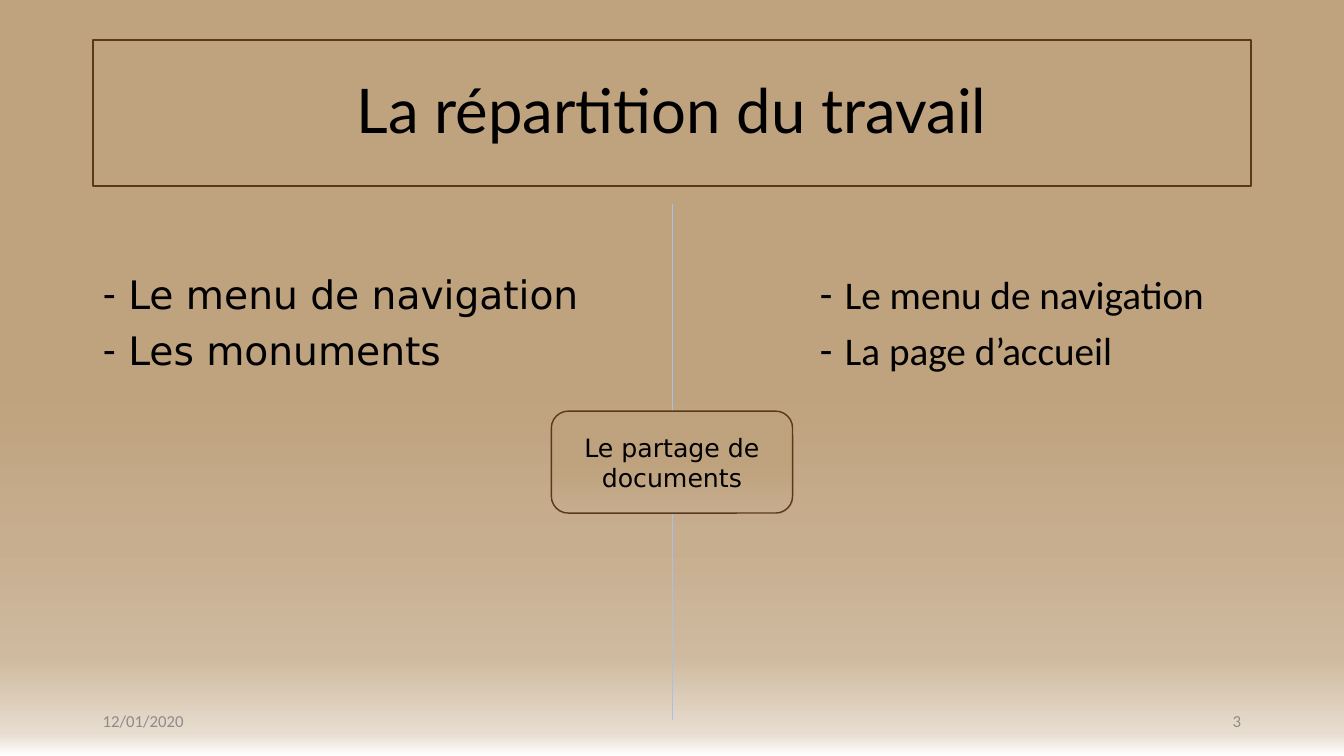
from lxml.etree import SubElement
from pptx import Presentation
from pptx.dml.color import RGBColor
from pptx.enum.shapes import MSO_CONNECTOR, MSO_SHAPE
from pptx.enum.text import MSO_ANCHOR, MSO_AUTO_SIZE, PP_ALIGN
from pptx.oxml.ns import qn
from pptx.util import Cm, Pt

BLACK = RGBColor(0x00, 0x00, 0x00)
GREY = RGBColor(0x8C, 0x8C, 0x8C)
BROWN = RGBColor(0x59, 0x38, 0x1B)
BLUE = RGBColor(0xAB, 0xC0, 0xE4)
TAN = RGBColor(0xBF, 0xA2, 0x7E)
SAND = RGBColor(0xC7, 0xAE, 0x8F)
CREAM = RGBColor(0xCF, 0xBA, 0x9F)
PEARL = RGBColor(0xE7, 0xDD, 0xCF)
WHITE = RGBColor(0xFF, 0xFF, 0xFF)

TITLE = "La répartition du travail"
LISTS = [
    (["Le menu de navigation", "Les monuments"], "DejaVu Sans", 2.34, 14.6),
    (["Le menu de navigation", "La page d’accueil"], "Calibri", 20.4, 11.12),
]
SHARED = "Le partage de documents"
FOOTER = [("12/01/2020", PP_ALIGN.LEFT), ("3", PP_ALIGN.RIGHT)]
BACK = [(51, TAN, 100), (72, SAND, 100), (87, CREAM, 82),
        (97, PEARL, 100), (100, WHITE, 100)]
PANEL = [(51, TAN, 100), (99, SAND, 100), (100, CREAM, 82)]

WIDE, HIGH = 33.87, 19.05
EDGE = 2.34
MID = WIDE / 2


def place(shape, left, top, width, height):
    shape.left, shape.top = Cm(left), Cm(top)
    shape.width, shape.height = Cm(width), Cm(height)


def grade(fill, root, stops):
    fill.gradient()
    fill.gradient_angle = 270
    group = root.find(".//" + qn("a:gsLst"))
    for old in list(group):
        group.remove(old)
    for spot, color, alpha in stops:
        stop = SubElement(group, qn("a:gs"), pos=str(spot * 1000))
        tint = SubElement(stop, qn("a:srgbClr"), val=str(color))
        if alpha < 100:
            SubElement(tint, qn("a:alpha"), val=str(alpha * 1000))


def write(shape, lines, font="Calibri", size=12, color=BLACK,
          align=PP_ALIGN.LEFT, anchor=MSO_ANCHOR.MIDDLE, space=1.0, dash=False):
    frame = shape.text_frame
    frame.word_wrap = True
    frame.auto_size = MSO_AUTO_SIZE.NONE
    frame.vertical_anchor = anchor
    for index, line in enumerate(lines):
        para = frame.add_paragraph() if index else frame.paragraphs[0]
        if dash:
            props = para._p.get_or_add_pPr()
            props.set("marL", str(Cm(0.64)))
            props.set("indent", str(-Cm(0.64)))
            SubElement(props, qn("a:buChar"), char="-")
        para.alignment = align
        para.line_spacing = space
        para.space_before = Pt(10 if index else 0)
        run = para.add_run()
        run.text = line
        run.font.name = font
        run.font.size = Pt(size)
        run.font.color.rgb = color


def main():
    deck = Presentation()
    deck.slide_width, deck.slide_height = Cm(WIDE), Cm(HIGH)
    slide = deck.slides.add_slide(deck.slide_layouts[3])
    grade(slide.background.fill, slide.element, BACK)
    shapes = slide.shapes

    title, *bodies = slide.placeholders
    place(title, EDGE, 1.01, WIDE - 2 * EDGE, 3.68)
    title.line.color.rgb = BROWN
    title.line.width = Pt(1)
    write(title, [TITLE], font="Lato", size=44, align=PP_ALIGN.CENTER, space=0.9)

    for body, (lines, font, left, width) in zip(bodies, LISTS):
        place(body, left, 6.81, width, 10.4)
        write(body, lines, font=font, size=28, anchor=MSO_ANCHOR.TOP,
              space=0.9, dash=True)

    rule = shapes.add_connector(MSO_CONNECTOR.STRAIGHT,
                                Cm(MID), Cm(5.15), Cm(MID), Cm(18.15))
    rule.line.color.rgb = BLUE
    rule.line.width = Pt(0.5)
    SubElement(rule.element.spPr, qn("a:effectLst"))

    width = 6.08
    panel = shapes.add_shape(MSO_SHAPE.ROUNDED_RECTANGLE, Cm(MID - width / 2),
                             Cm(10.36), Cm(width), Cm(2.57))
    panel.shadow.inherit = False
    grade(panel.fill, panel.element, PANEL)
    panel.line.color.rgb = BROWN
    panel.line.width = Pt(1)
    write(panel, [SHARED], font="DejaVu Sans", size=18, align=PP_ALIGN.CENTER)

    width = 7.62
    for (text, align), left in zip(FOOTER, (EDGE, WIDE - EDGE - width)):
        note = shapes.add_textbox(Cm(left), Cm(17.65), Cm(width), Cm(1.01))
        write(note, [text], color=GREY, align=align)

    deck.save("out.pptx")


if __name__ == "__main__":
    main()
